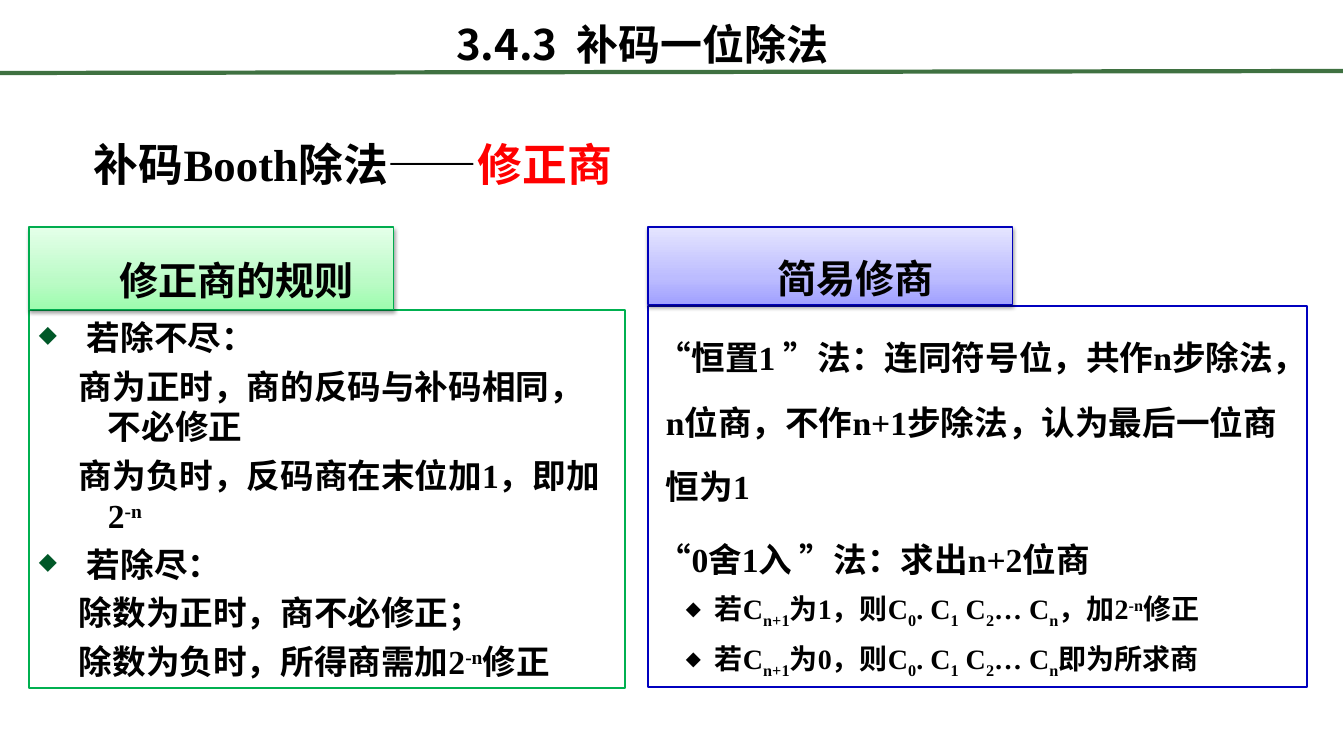
import copy
import pptx
import pptx.util
import pptx.dml.color
import pptx.enum.shapes
import pptx.enum.text
import pptx.oxml
import pptx.oxml.ns
from lxml import etree

SCALE = 914400 / 100.8  # EMU per px
CJK, SERIF = "Noto Sans CJK SC", "Times New Roman"
COLORS = {
    "text": "000000", "accent": "FF0000", "paper": "FFFFFF", "rule": "3F7141",
    "bullet": "005828", "green": "00B050", "green edge": "00AC4E",
    "blue": "0000BF", "blue edge": "0000BB",
}
GREEN_FADE = ["9DFCAE", "BBFBC6", "E4FFE9"]
BLUE_FADE = ["A0A0FF", "BCBCFF", "E5E5FF"]
BASELINES = {"_": "-25000", "^": "30000"}
qn = pptx.oxml.ns.qn
rgb = pptx.dml.color.RGBColor.from_string
CENTER = pptx.enum.text.PP_ALIGN.CENTER
MIDDLE = pptx.enum.text.MSO_ANCHOR.MIDDLE
RECTANGLE = pptx.enum.shapes.MSO_SHAPE.RECTANGLE


def px(*lengths):
    return [round(length * SCALE) for length in lengths]


def write(paragraph, text, size, left=0, indent=0, spacing=1.0, before=6, after=0,
          align=None, bullet=None, face=SERIF):
    """Fill a paragraph; | separates runs, a leading _ or ^ lowers or raises one."""
    props = paragraph._p.get_or_add_pPr()
    margin, hang = px(left, indent)
    props.set("marL", str(margin))
    props.set("indent", str(hang))
    paragraph.alignment = align
    paragraph.line_spacing = spacing
    paragraph.space_before = pptx.util.Pt(before)
    paragraph.space_after = pptx.util.Pt(after)
    if bullet:
        color = etree.SubElement(props, qn("a:buClr"))
        etree.SubElement(color, qn("a:srgbClr"), val=bullet)
        etree.SubElement(props, qn("a:buSzPct"), val="70000")
        etree.SubElement(props, qn("a:buChar"), char="◆")
    font = paragraph.font
    font.size, font.bold, font.name = pptx.util.Pt(size), True, face
    font.color.rgb = rgb(COLORS["text"])
    etree.SubElement(props.find(qn("a:defRPr")), qn("a:ea"), typeface=CJK)
    for part in text.split("|"):
        run = paragraph.add_run()
        run.text = part.lstrip("_^")
        if part[0] in BASELINES:
            run._r.get_or_add_rPr().set("baseline", BASELINES[part[0]])


presentation = pptx.Presentation()
presentation.slide_width, presentation.slide_height = px(1344, 756)
slide = presentation.slides.add_slide(presentation.slide_layouts[6])
shapes = slide.shapes

# Title
title = shapes.add_textbox(*px(171, 13, 943, 62)).text_frame
title.word_wrap, title.vertical_anchor = True, MIDDLE
write(title.paragraphs[0], "3.4.3  补码一位除法", 30, before=0, align=CENTER, face=CJK)

# Topic
topic = shapes.add_textbox(*px(84, 100, 1200, 207)).text_frame
topic.word_wrap = True
write(topic.paragraphs[0], "补码Booth除法——|修正商", 32, spacing=1.6, before=0, after=6)
topic.paragraphs[0].runs[1].font.color.rgb = rgb(COLORS["accent"])

# Panels: a framed body under a shaded tab
item = dict(size=24, left=48, indent=-50, bullet=COLORS["bullet"])
detail = dict(size=24, left=69, indent=-29)
method = dict(size=24, left=8, indent=-29, spacing=1.6)
case = dict(size=20, left=57, indent=-29, spacing=1.1, bullet=COLORS["text"])
quotient = "C|_0|. C|_1| C|_2|… C|_n|"
rules = [
    ("若除不尽：", item),
    ("商为正时，商的反码与补码相同，不必修正", detail),
    ("商为负时，反码商在末位加1，即加2|^-n", detail),
    ("若除尽：", item),
    ("除数为正时，商不必修正；", detail),
    ("除数为负时，所得商需加2|^-n|修正", detail),
]
shortcuts = [
    ("“恒置1 ”法：连同符号位，共作n步除法，n位商，不作n+1步除法，认为最后一位商恒为1", method),
    ("“0舍1入 ”法：求出n+2位商", method),
    (f"若C|_n+1|为1，则{quotient}，加2|^-n|修正", case),
    (f"若C|_n+1|为0，则{quotient}即为所求商", case),
]
panels = [
    ("修正商的规则", (29, 227, 365, 83), (29, 310, 596, 378), "green", GREEN_FADE, rules, 0),
    ("简易修商", (648, 227, 365, 78), (648, 306, 659, 381), "blue", BLUE_FADE, shortcuts, 12),
]
for heading, tab_box, body_box, hue, fade, lines, after in panels:
    body = shapes.add_shape(RECTANGLE, *px(*body_box))
    body.shadow.inherit = False
    body.fill.solid()
    body.fill.fore_color.rgb = rgb(COLORS["paper"])
    body.line.color.rgb = rgb(COLORS[hue])
    body.line.width = pptx.util.Pt(2)
    frame = body.text_frame
    frame.word_wrap = True
    for number, (text, style) in enumerate(lines):
        paragraph = frame.add_paragraph() if number else frame.paragraphs[0]
        write(paragraph, text, before=6 if number else 0,
              align=pptx.enum.text.PP_ALIGN.LEFT, **style)

    tab = shapes.add_shape(RECTANGLE, *px(*tab_box))
    tab.fill.gradient()
    tab.fill.gradient_angle = 90
    stops = tab._element.spPr.find(".//" + qn("a:gsLst"))
    stops.append(copy.deepcopy(stops[0]))
    for stop, position, color in zip(tab.fill.gradient_stops, (0, 0.35, 1), fade):
        stop.position = position
        stop.color.rgb = rgb(color)
    tab.line.color.rgb = rgb(COLORS[hue + " edge"])
    tab.line.width = pptx.util.Pt(0.75)
    tab.shadow.inherit = False
    shadow = etree.SubElement(
        tab._element.spPr.find(qn("a:effectLst")), qn("a:outerShdw"),
        blurRad=str(pptx.util.Pt(3.1)), dist=str(pptx.util.Pt(1.6)), dir="5400000")
    shade = etree.SubElement(shadow, qn("a:srgbClr"), val=COLORS["text"])
    etree.SubElement(shade, qn("a:alpha"), val="38000")
    tab.text_frame.word_wrap = True
    write(tab.text_frame.paragraphs[0], heading, 28, left=81, indent=-31, spacing=1.5,
          before=0, after=after, align=CENTER)

# Rule under the title
rule = shapes.add_connector(pptx.enum.shapes.MSO_CONNECTOR.STRAIGHT, *px(0, 73, 1343, 71))
rule.line.color.rgb = rgb(COLORS["rule"])
rule.line.width = pptx.util.Pt(3)
etree.SubElement(rule._element.spPr, qn("a:effectLst"))

presentation.save("out.pptx")
